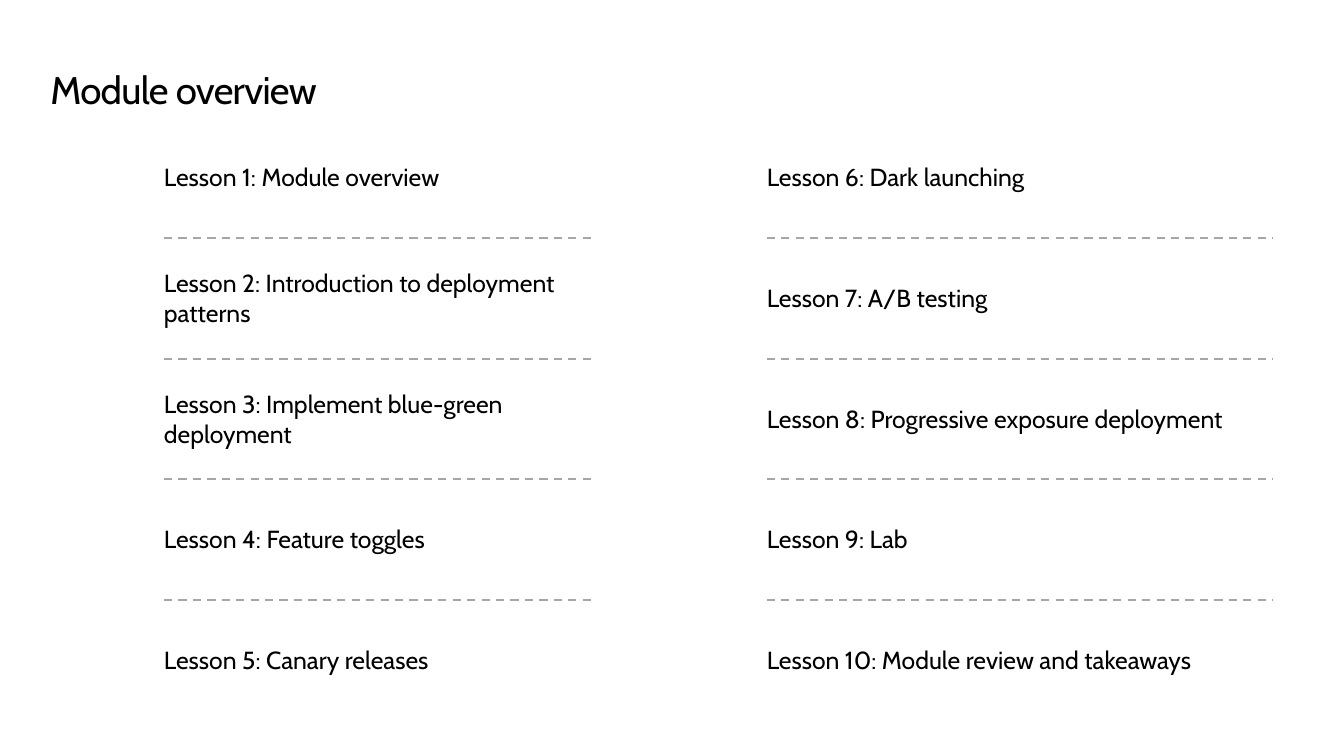
from lxml.etree import SubElement
from pptx import Presentation
from pptx.dml.color import RGBColor
from pptx.enum.dml import MSO_LINE
from pptx.enum.shapes import MSO_CONNECTOR
from pptx.enum.text import MSO_ANCHOR, MSO_AUTO_SIZE
from pptx.oxml.ns import qn
from pptx.util import Pt

# Content: each lesson with the number of text lines it fills
TITLE = "Module overview"
LEFT = [
    ("Lesson 1: Module overview", 1),
    ("Lesson 2: Introduction to deployment patterns", 2),
    ("Lesson 3: Implement blue-green deployment", 2),
    ("Lesson 4: Feature toggles", 1),
    ("Lesson 5: Canary releases", 1),
]
RIGHT = [
    ("Lesson 6: Dark launching", 1),
    ("Lesson 7: A/B testing", 1),
    ("Lesson 8: Progressive exposure deployment", 1),
    ("Lesson 9: Lab", 1),
    ("Lesson 10: Module review and takeaways", 1),
]
COLORS = {"text": "000000", "rule": "A6A6A6"}
FONT = "Cabin"

# Layout: left edge, text width and rule width of each column
COLUMNS = [(LEFT, 119.5, 329, 313.2), (RIGHT, 558.7, 386.6, 368.6)]
ROW_MID, RULE_TOP, STEP, LINE_H = 129, 173.5, 87.9, 22

deck = Presentation()
deck.slide_width, deck.slide_height = Pt(979.2), Pt(550.8)
slide = deck.slides.add_slide(deck.slide_layouts[6])


def add_text(text, x, y, w, h, size=18, anchor=MSO_ANCHOR.MIDDLE,
             after=None, leading=None, spacing=None):
    box = slide.shapes.add_textbox(Pt(x), Pt(y), Pt(w), Pt(h))
    frame = box.text_frame
    frame.word_wrap = True
    frame.auto_size = MSO_AUTO_SIZE.SHAPE_TO_FIT_TEXT
    frame.vertical_anchor = anchor
    frame.margin_left = frame.margin_right = 0
    frame.margin_top = frame.margin_bottom = 0
    par = frame.paragraphs[0]
    if after is not None:
        par.space_after = Pt(after)
    if leading is not None:
        par.line_spacing = Pt(leading)
    run = par.add_run()
    run.text = text
    run.font.name, run.font.size = FONT, Pt(size)
    run.font.color.rgb = RGBColor.from_string(COLORS["text"])
    if spacing is not None:
        run.font._element.set("spc", str(round(spacing * 100)))


def add_rule(x, y, w):
    rule = slide.shapes.add_connector(
        MSO_CONNECTOR.STRAIGHT, Pt(x), Pt(y), Pt(x + w), Pt(y))
    rule.line.color.rgb = RGBColor.from_string(COLORS["rule"])
    rule.line.width = Pt(1.5)
    rule.line.dash_style = MSO_LINE.DASH
    SubElement(rule._element.spPr, qn("a:effectLst"))


# Title
add_text(TITLE, 36.7, 49.7, 908, 32, size=28, anchor=MSO_ANCHOR.TOP,
         leading=32, spacing=-0.5)

# Lessons, with a dashed rule between rows
for lessons, x, width, rule_w in COLUMNS:
    for row, (lesson, lines) in enumerate(lessons):
        height = lines * LINE_H
        add_text(lesson, x, ROW_MID + row * STEP - height / 2, width, height,
                 after=6)
        if row < len(lessons) - 1:
            add_rule(x, RULE_TOP + row * STEP, rule_w)

deck.save("out.pptx")
